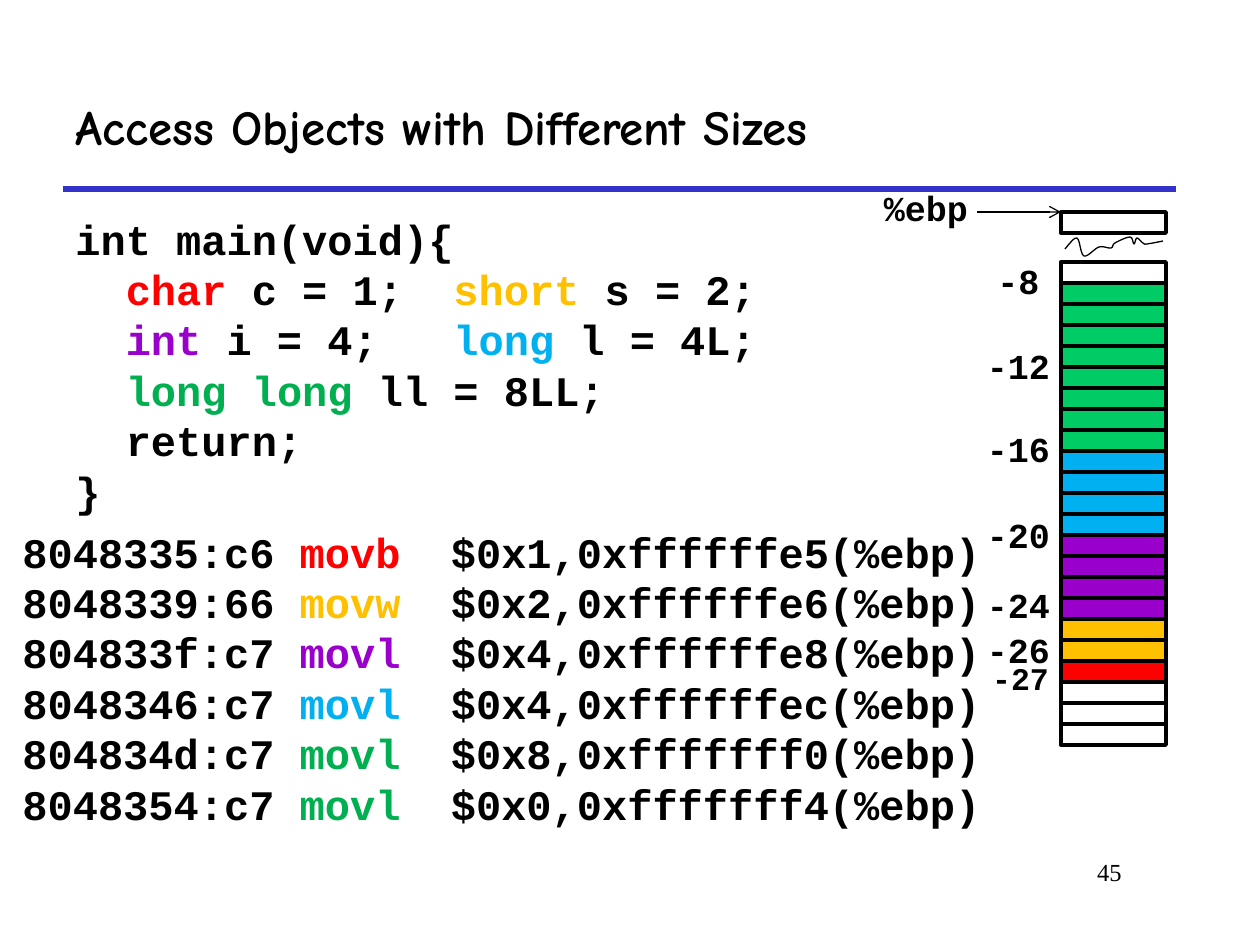
from dataclasses import dataclass
from lxml.etree import SubElement
from pptx import Presentation
from pptx.dml.color import RGBColor as Rgb
from pptx.enum.shapes import MSO_CONNECTOR as Connector, MSO_SHAPE as Preset
from pptx.enum.text import MSO_ANCHOR as Anchor, PP_ALIGN as Align
from pptx.oxml.ns import qn
from pptx.util import Pt


@dataclass(frozen=True)
class Theme:
    black: str = "000000"
    white: str = "FFFFFF"
    rule: str = "3333CC"
    red: str = "FF0000"
    amber: str = "FFC000"
    purple: str = "9900CC"
    blue: str = "00B0F0"
    green: str = "00B050"
    cell_green: str = "00CC66"
    heading: str = "Comic Neue"
    code: str = "Courier New"
    number: str = "Times New Roman"
    title_size: int = 28
    code_size: int = 24
    label_size: int = 20
    small_size: int = 18
    number_size: int = 14


theme = Theme()
PX = 914400 / 126


def px(*lengths):
    return [round(length * PX) for length in lengths]


def write(frame, lines, font, size, align=Align.LEFT, bold=True):
    frame.word_wrap = True
    for index, parts in enumerate(lines):
        paragraph = frame.paragraphs[0] if index == 0 else frame.add_paragraph()
        paragraph.alignment = align
        for text, color in parts:
            run = paragraph.add_run()
            run.text = text
            run.font.name = font
            run.font.size = Pt(size)
            run.font.bold = bold
            run.font.color.rgb = Rgb.from_string(color)


deck = Presentation()
deck.slide_width, deck.slide_height = px(1260, 945)
slide = deck.slides.add_slide(deck.slide_layouts[5])
shapes = slide.shapes

title = shapes.title
title.left, title.top, title.width, title.height = px(63, 63, 1113, 126)
title.text_frame.vertical_anchor = Anchor.MIDDLE
write(title.text_frame, [[("Access Objects with Different Sizes", theme.black)]],
      theme.heading, theme.title_size)

page_number = shapes.add_textbox(*px(955, 851, 179, 63))
write(page_number.text_frame, [[("45", theme.black)]], theme.number,
      theme.number_size, Align.RIGHT, False)

source_lines = [
    [("int main(void){", theme.black)],
    [("  ", theme.black), ("char ", theme.red), ("c = 1;  ", theme.black),
     ("short ", theme.amber), ("s = 2;", theme.black)],
    [("  ", theme.black), ("int ", theme.purple), ("i = 4;   ", theme.black),
     ("long ", theme.blue), ("l = 4L;", theme.black)],
    [("  ", theme.black), ("long long ", theme.green), ("ll = 8LL;", theme.black)],
    [("  return;", theme.black)],
    [("}", theme.black)],
]
source_code = shapes.add_textbox(*px(63, 207, 1061, 315))
write(source_code.text_frame, source_lines, theme.code, theme.code_size)

instructions = [
    ("8048335:c6", "movb", theme.red, "$0x1,0xffffffe5"),
    ("8048339:66", "movw", theme.amber, "$0x2,0xffffffe6"),
    ("804833f:c7", "movl", theme.purple, "$0x4,0xffffffe8"),
    ("8048346:c7", "movl", theme.blue, "$0x4,0xffffffec"),
    ("804834d:c7", "movl", theme.green, "$0x8,0xfffffff0"),
    ("8048354:c7", "movl", theme.green, "$0x0,0xfffffff4"),
]
assembly_lines = [
    [(f"{address} ", theme.black), (opcode, color), (f"  {operands}(%ebp)", theme.black)]
    for address, opcode, color, operands in instructions
]
assembly = shapes.add_textbox(*px(10, 520, 998, 315))
write(assembly.text_frame, assembly_lines, theme.code, theme.code_size)

CELL_LEFT, CELL_WIDTH, CELL_HEIGHT = 1061, 105, 21
STACK_TOP, EBP_TOP = 262, 212
stack_colors = ([theme.white] + [theme.cell_green] * 8 + [theme.blue] * 4
                + [theme.purple] * 4 + [theme.amber] * 2 + [theme.red]
                + [theme.white] * 3)
cells = [(EBP_TOP, theme.white)]
cells += [(STACK_TOP + row * CELL_HEIGHT, color) for row, color in enumerate(stack_colors)]
for top, color in cells:
    cell = shapes.add_shape(Preset.RECTANGLE, *px(CELL_LEFT, top, CELL_WIDTH, CELL_HEIGHT))
    cell.shadow.inherit = False
    cell.fill.solid()
    cell.fill.fore_color.rgb = Rgb.from_string(color)
    cell.line.color.rgb = Rgb.from_string(theme.black)
    cell.line.width = Pt(2.25)

labels = [
    ("%ebp", 861, 180, 130, theme.label_size),
    ("-8", 903, 253, 231, theme.label_size),
    ("-12", 903, 338, 231, theme.label_size),
    ("-16", 903, 421, 231, theme.label_size),
    ("-20", 903, 507, 231, theme.label_size),
    ("-24", 903, 577, 231, theme.label_size),
    ("-26", 903, 622, 231, theme.label_size),
    ("-27", 905, 653, 231, theme.small_size),
]
for text, left, top, width, size in labels:
    label = shapes.add_textbox(*px(left, top, width, 55))
    write(label.text_frame, [[(text, theme.black)]], theme.code, size, Align.CENTER)

knots = [(1065, 249), (1077, 238), (1084, 256), (1099, 247), (1111, 248), (1115, 243),
         (1130, 237), (1134, 244), (1137, 238), (1143, 243), (1147, 244), (1163, 241)]
padded = [knots[0]] + knots + [knots[-1]]
STEPS = 6
curve = []
for before, start, end, after in zip(padded, padded[1:], padded[2:], padded[3:]):
    for step in range(1, STEPS + 1):
        t = step / STEPS
        curve.append(px(*[
            b + (c - a) * t / 2 + (2 * a - 5 * b + 4 * c - d) * t**2 / 2
            + (3 * b - a - 3 * c + d) * t**3 / 2
            for a, b, c, d in zip(before, start, end, after)
        ]))
builder = shapes.build_freeform(*px(*knots[0]))
builder.add_line_segments(curve, close=False)
gap_mark = builder.convert_to_shape()
gap_mark.shadow.inherit = False
gap_mark.fill.background()
gap_mark.line.color.rgb = Rgb.from_string(theme.black)
gap_mark.line.width = Pt(0.75)

connectors = [
    ((63, 189, 1176, 189), theme.rule, 3, False),
    ((977, EBP_TOP, CELL_LEFT, EBP_TOP), theme.black, 0.75, True),
]
for ends, color, width, has_arrow in connectors:
    connector = shapes.add_connector(Connector.STRAIGHT, *px(*ends))
    connector.line.color.rgb = Rgb.from_string(color)
    connector.line.width = Pt(width)
    if has_arrow:
        SubElement(connector.line._get_or_add_ln(), qn("a:tailEnd"), type="arrow")
    SubElement(connector._element.spPr, qn("a:effectLst"))

deck.save("out.pptx")
